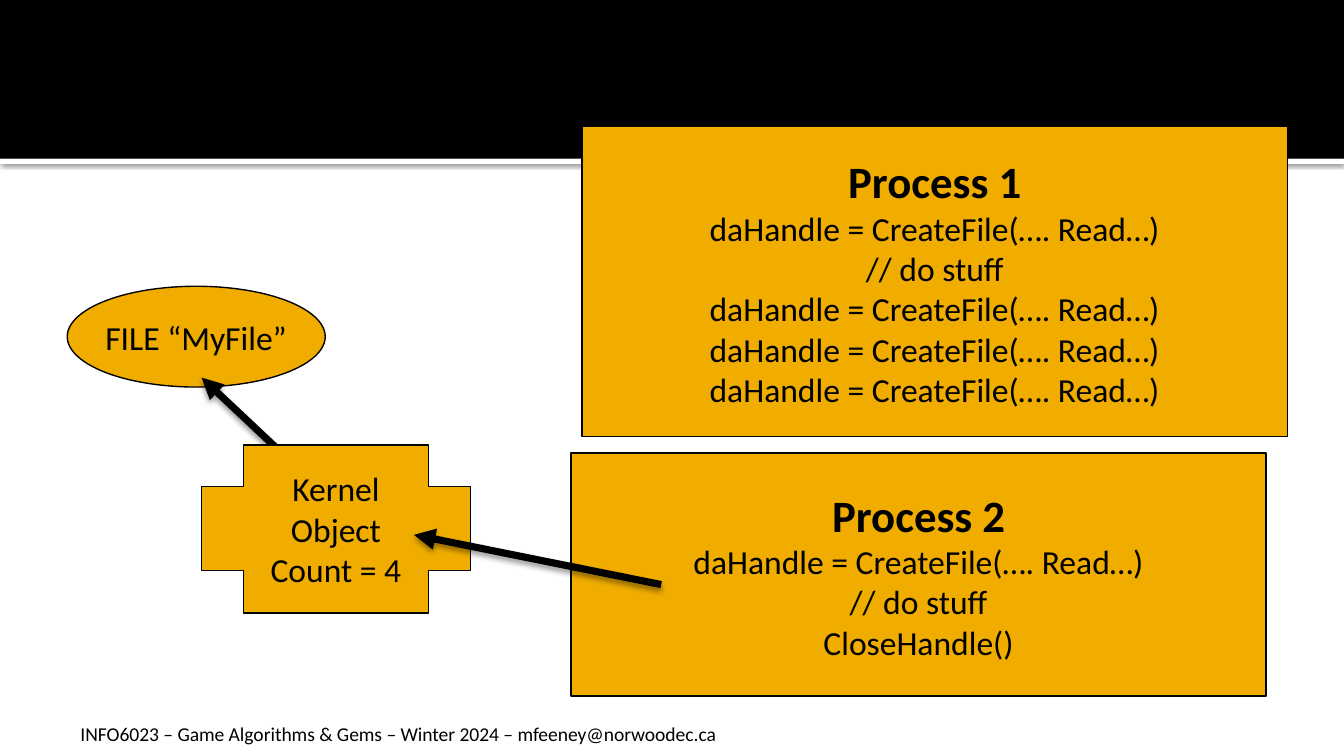
from pptx import Presentation
from pptx.dml.color import RGBColor
from pptx.enum.shapes import MSO_CONNECTOR, MSO_SHAPE
from pptx.enum.text import MSO_ANCHOR, PP_ALIGN
from pptx.oxml.ns import qn
from pptx.util import Inches, Pt
from lxml import etree

BLACK, WHITE, GOLD = "000000", "FFFFFF", "F0AD00"
FONT = "Calibri"
OPEN_FILE = "daHandle = CreateFile(…. Read…)"


def color(value):
    return RGBColor.from_string(value)


def add_shadow(sp, alpha, blur, dist):
    """Give a shape or connector a black shadow that falls straight down."""
    sp_pr = sp._element.spPr
    effects = sp_pr.find(qn("a:effectLst"))
    if effects is None:
        effects = etree.SubElement(sp_pr, qn("a:effectLst"))
    shadow = etree.SubElement(
        effects, qn("a:outerShdw"), blurRad=str(Pt(blur)), dist=str(Pt(dist)),
        dir="5400000", algn="ctr", rotWithShape="0")
    black = etree.SubElement(shadow, qn("a:srgbClr"), val=BLACK)
    etree.SubElement(black, qn("a:alpha"), val=str(alpha * 1000))


def format_paragraph(p, size, bold=False):
    for r in p.runs:
        r.font.name = FONT
        r.font.size = Pt(size)
        r.font.bold = bold
        r.font.color.rgb = color(BLACK)


def add_filled(s, kind, box, fill):
    sp = s.shapes.add_shape(kind, *map(Inches, box))
    sp.shadow.inherit = False
    sp.fill.solid()
    sp.fill.fore_color.rgb = color(fill)
    sp.line.fill.background()
    return sp


def add_node(s, kind, box, lines, title=None):
    """Gold outlined shape with centred lines, under a bold title if given."""
    sp = add_filled(s, kind, box, GOLD)
    sp.line.color.rgb = color(BLACK)
    sp.line.width = Pt(0.75)
    tf = sp.text_frame
    tf.word_wrap = False
    tf.vertical_anchor = MSO_ANCHOR.MIDDLE
    tf.text = "\n".join(([title] if title else []) + lines)
    for i, p in enumerate(tf.paragraphs):
        p.alignment = PP_ALIGN.CENTER
        is_title = bool(title) and i == 0
        format_paragraph(p, 24 if is_title else 18, is_title)


def add_arrow(s, start, end):
    line = s.shapes.add_connector(
        MSO_CONNECTOR.STRAIGHT, *map(Inches, start + end))
    line.line.color.rgb = color(BLACK)
    line.line.width = Pt(3.82)
    ln = line._element.spPr.find(qn("a:ln"))
    etree.SubElement(ln, qn("a:tailEnd"), type="triangle")
    add_shadow(line, 38, 3.1, 2)


def add_header(s, left, top, width, height):
    """Black band with a thin shadowed white rule below it."""
    rule = add_filled(s, MSO_SHAPE.RECTANGLE,
                      (left, top + height, width, 0.04), WHITE)
    add_shadow(rule, 60, 2.5, 0.8)
    add_filled(s, MSO_SHAPE.RECTANGLE, (left, top, width, height), BLACK)


def add_footer(s, left, top, width, height):
    tf = s.shapes.add_textbox(
        *map(Inches, (left, top, width, height))).text_frame
    tf.word_wrap = True
    tf.text = ("INFO6023 – Game Algorithms & Gems – Winter 2024 – "
               "mfeeney@norwoodec.ca")
    format_paragraph(tf.paragraphs[0], 10.5)


def add_diagram(s, left, top):
    """File, kernel object and the two processes that hold handles to it."""
    def at(x, y):
        return left + x, top + y

    # File and the kernel object that points to it
    add_node(s, MSO_SHAPE.OVAL, (*at(0, 1.19), 1.92, 0.75), ["FILE “MyFile”"])
    add_arrow(s, at(1.67, 2.5), at(1, 1.87))
    add_node(s, MSO_SHAPE.CROSS, (*at(1, 2.37), 2, 1.25),
             ["Kernel", "Object", "Count = 4"])

    # Processes
    add_node(s, MSO_SHAPE.RECTANGLE, (*at(3.75, 2.43), 5.17, 1.81),
             [OPEN_FILE, "// do stuff", "CloseHandle()"], "Process 2")
    add_arrow(s, at(4.42, 3.41), at(2.58, 3.04))
    add_node(s, MSO_SHAPE.RECTANGLE, (*at(3.83, 0), 5.25, 2.31),
             [OPEN_FILE, "// do stuff"] + [OPEN_FILE] * 3, "Process 1")


def main():
    prs = Presentation()
    # Widescreen, 16:9
    prs.slide_width = Inches(10)
    prs.slide_height = prs.slide_width * 9 // 16
    s = prs.slides.add_slide(prs.slide_layouts[6])
    add_header(s, 0, 0, 10, 1.18)
    add_footer(s, 0.5, 5.32, 8.42, 0.28)
    add_diagram(s, 0.5, 0.94)
    prs.save("out.pptx")


if __name__ == "__main__":
    main()
